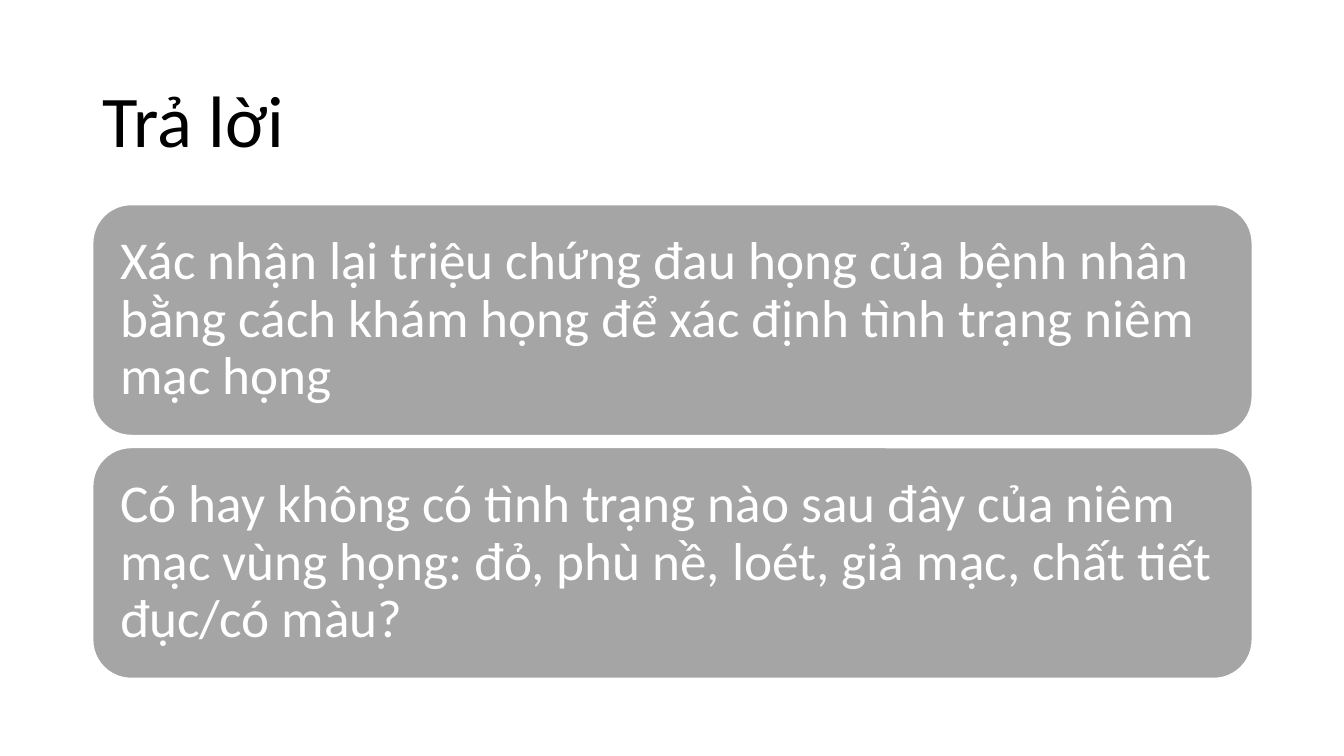
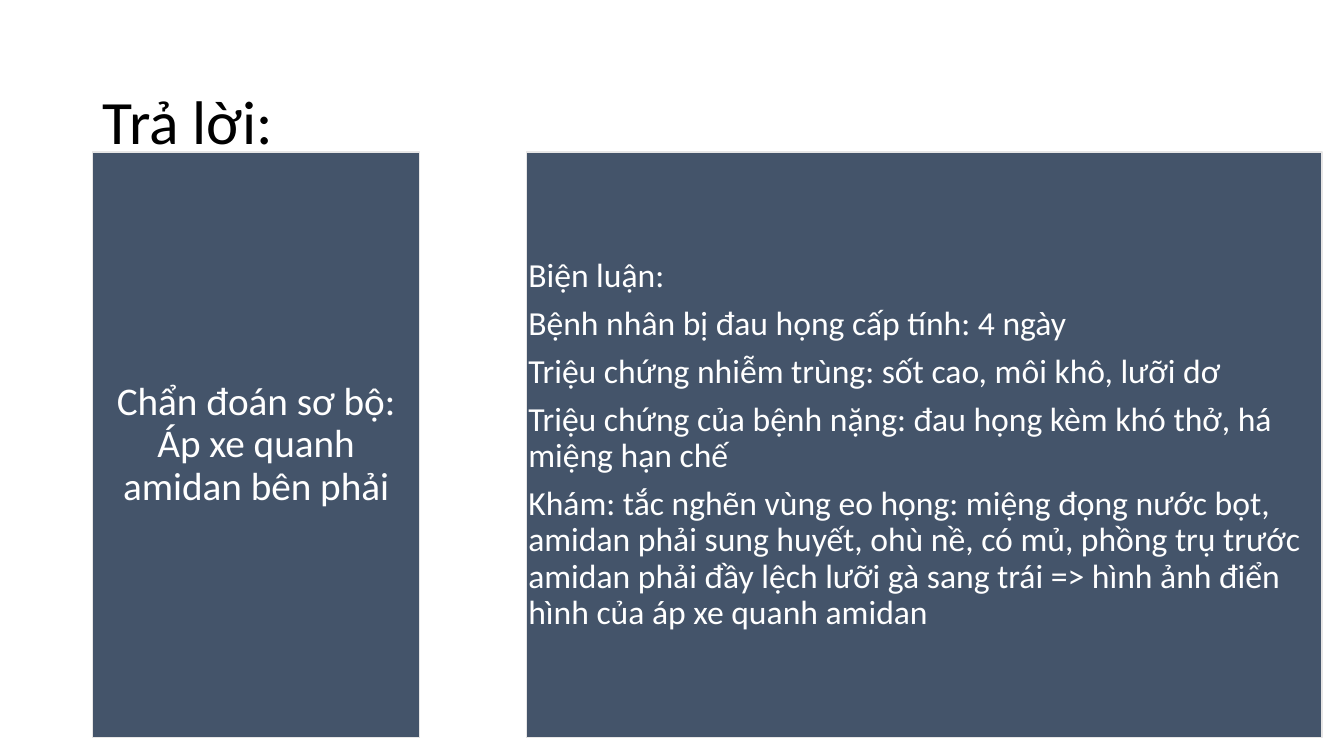
from pptx import Presentation
from pptx.dml.color import RGBColor
from pptx.enum import shapes, text
from pptx.util import Inches, Pt

COLOURS = {"title": "000000", "light": "FFFFFF", "card": "A5A5A5",
           "panel": "44546A", "panel_line": "E7E6E6"}
FONT = "Calibri"
WIDTH, HEIGHT = 13.33, 7.5
LEFT, CONTENT_WIDTH = 0.92, 11.5
LINE_SPACING = 0.9
SPACE_AFTER = 0.35  # share of the text size

CARDS = [
    "Xác nhận lại triệu chứng đau họng của bệnh nhân bằng cách khám họng "
    "để xác định tình trạng niêm mạc họng",
    "Có hay không có tình trạng nào sau đây của niêm mạc vùng họng: "
    "đỏ, phù nề, loét, giả mạc, chất tiết đục/có màu?",
]
DIAGNOSIS = ["Chẩn đoán sơ bộ: Áp xe quanh amidan bên phải"]
REASONING = [
    "Biện luận:",
    "Bệnh nhân bị đau họng cấp tính: 4 ngày",
    "Triệu chứng nhiễm trùng: sốt cao, môi khô, lưỡi dơ",
    "Triệu chứng của bệnh nặng: đau họng kèm khó thở, há miệng hạn chế",
    "Khám: tắc nghẽn vùng eo họng: miệng đọng nước bọt, amidan phải sung huyết, "
    "ohù nề, có mủ, phồng trụ trước amidan phải đầy lệch lưỡi gà sang trái "
    "=> hình ảnh điển hình của áp xe quanh amidan",
]


def colour(name):
    return RGBColor.from_string(COLOURS[name])


def write(text_frame, lines, size, colour_name, align, space_after=0):
    """Fill a text frame with equally styled paragraphs, centred vertically."""
    text_frame.text = "\n".join(lines)
    text_frame.word_wrap = True
    text_frame.auto_size = text.MSO_AUTO_SIZE.NONE
    text_frame.vertical_anchor = text.MSO_ANCHOR.MIDDLE
    for paragraph in text_frame.paragraphs:
        paragraph.alignment = align
        paragraph.line_spacing = LINE_SPACING
        paragraph.space_before = Pt(0)
        paragraph.space_after = Pt(size * space_after)
        for run in paragraph.runs:
            run.font.name = FONT
            run.font.size = Pt(size)
            run.font.color.rgb = colour(colour_name)


def add_titled_slide(presentation, title_text, top, height, size):
    slide = presentation.slides.add_slide(presentation.slide_layouts[5])
    title = slide.shapes.title
    title.left, title.top = Inches(LEFT), Inches(top)
    title.width, title.height = Inches(CONTENT_WIDTH), Inches(height)
    write(title.text_frame, [title_text], size, "title", text.PP_ALIGN.LEFT)
    return slide


def add_block(slide, preset, box, fill, line, lines, size, inset,
              align=text.PP_ALIGN.LEFT):
    shape = slide.shapes.add_shape(preset, *(Inches(length) for length in box))
    shape.shadow.inherit = False
    shape.fill.solid()
    shape.fill.fore_color.rgb = colour(fill)
    shape.line.color.rgb = colour(line)
    shape.line.width = Pt(1)
    frame = shape.text_frame
    frame.margin_left = frame.margin_right = Inches(inset)
    frame.margin_top = frame.margin_bottom = Inches(inset)
    write(frame, lines, size, "light", align, SPACE_AFTER)


def add_card_stack(slide, box, cards, gap):
    """Equal rounded cards, stacked to fill the box."""
    left, top, width, height = box
    card_height = (height - gap * (len(cards) - 1)) / len(cards)
    for row, card in enumerate(cards):
        card_top = top + row * (card_height + gap)
        add_block(slide, shapes.MSO_SHAPE.ROUNDED_RECTANGLE,
                  (left, card_top, width, card_height),
                  "card", "light", [card], 38, 0.16)


def add_panel_pair(slide, box, first_width, gap):
    """A narrow diagnosis panel beside a wide reasoning panel."""
    left, top, width, height = box
    second_offset = first_width + gap
    panels = [
        (0, first_width, DIAGNOSIS, 28, text.PP_ALIGN.CENTER),
        (second_offset, width - second_offset, REASONING, 24, text.PP_ALIGN.LEFT),
    ]
    for offset, panel_width, lines, size, align in panels:
        add_block(slide, shapes.MSO_SHAPE.RECTANGLE,
                  (left + offset, top, panel_width, height),
                  "panel", "panel_line", lines, size, 0.02, align)


def main():
    presentation = Presentation()
    presentation.slide_width = Inches(WIDTH)
    presentation.slide_height = Inches(HEIGHT)

    # Examination cards
    slide = add_titled_slide(presentation, "Trả lời", 0.61, 1.24, 52)
    add_card_stack(slide, (LEFT, 2.03, CONTENT_WIDTH, 4.7), CARDS, 0.12)

    # Diagnosis and reasoning
    slide = add_titled_slide(presentation, "Trả lời:", 0.51, 1.45, 44)
    add_panel_pair(slide, (LEFT, 1.51, 12.19, 5.81), 3.24, 1.06)

    presentation.save("out.pptx")


if __name__ == "__main__":
    main()
